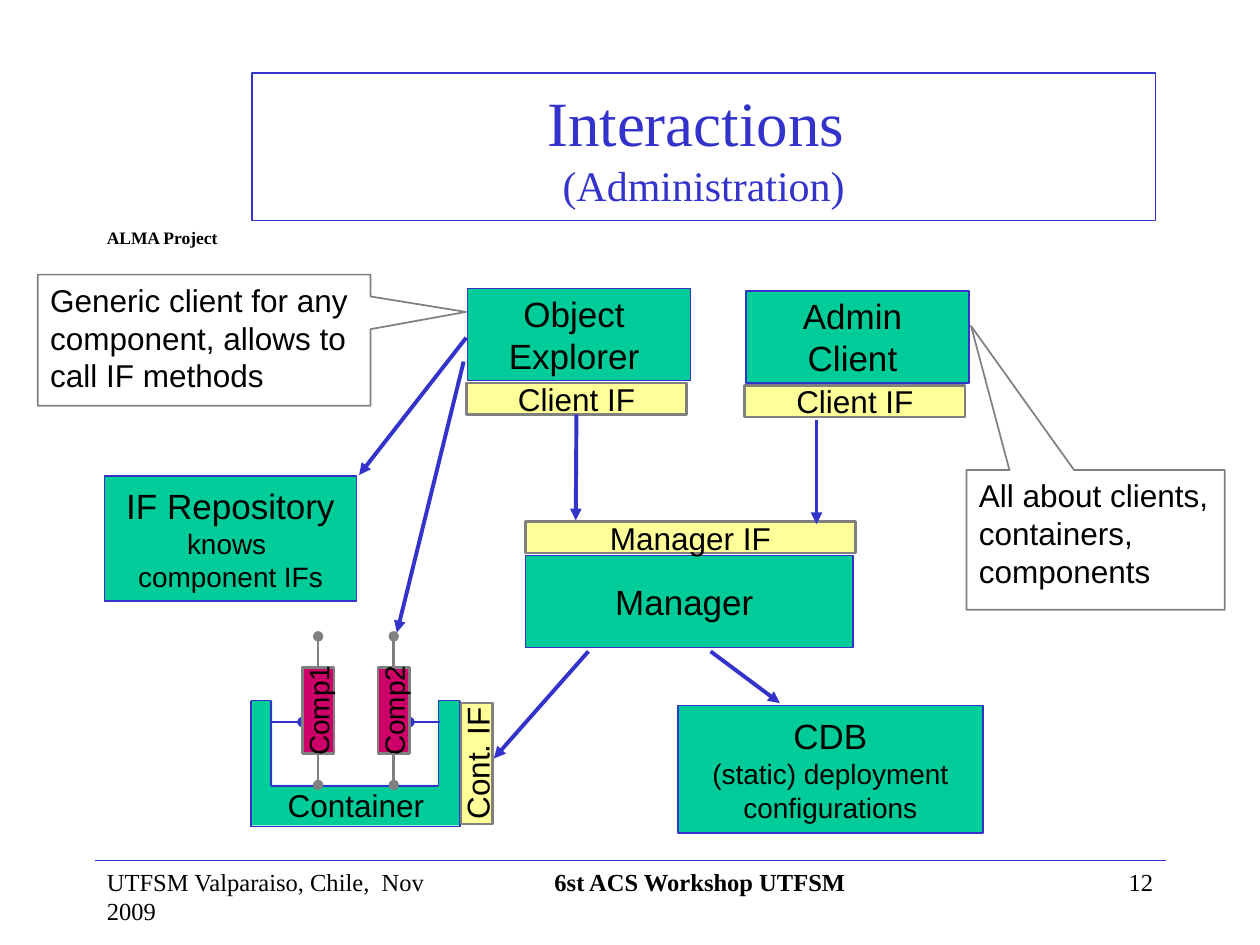
"""Build the Interactions (Administration) slide."""
from itertools import pairwise

from lxml import etree
from pptx import Presentation
from pptx.dml.color import RGBColor
from pptx.enum.shapes import MSO_CONNECTOR, MSO_SHAPE
from pptx.enum.text import MSO_ANCHOR, MSO_AUTO_SIZE, PP_ALIGN
from pptx.oxml.ns import qn
from pptx.util import Inches, Pt

RECT, CALLOUT = MSO_SHAPE.RECTANGLE, MSO_SHAPE.RECTANGULAR_CALLOUT
STRAIGHT = MSO_CONNECTOR.STRAIGHT
LEFT, CENTER, RIGHT = PP_ALIGN.LEFT, PP_ALIGN.CENTER, PP_ALIGN.RIGHT
TOP, MIDDLE = MSO_ANCHOR.TOP, MSO_ANCHOR.MIDDLE
BLUE, GREEN = RGBColor(0x33, 0x33, 0xCC), RGBColor(0x00, 0xCC, 0x99)
YELLOW, MAGENTA = RGBColor(0xFF, 0xFF, 0x99), RGBColor(0xCC, 0x00, 0x66)
GRAY, BLACK = RGBColor(0x80, 0x80, 0x80), RGBColor(0, 0, 0)
SERIF, SANS = "Times New Roman", "Arial"

TITLE_AREA = (2, 0.58, 7.17, 1.17)
TITLE_LINES = [("Interactions ", 36), ("(Administration)", 24)]
MARGIN_TEXTS = [
    ("ALMA Project", (0.75, 1.75, 1.1, 0.27), 10, True, LEFT),
    ("12", (7.17, 6.83, 2.08, 0.5), 14, False, RIGHT),
    ("UTFSM Valparaiso, Chile,  Nov  2009", (0.75, 6.83, 2.99, 0.5), 14, False, LEFT),
    ("6st ACS Workshop UTFSM ", (3.58, 6.83, 4, 0.5), 14, True, CENTER),
]
FOOTER_RULE = ((0.75, 6.83), (9.25, 6.83))
BLOCKS = [
    ((5.38, 5.6, 2.42, 1.01),
     [("CDB", 20), ("(static) deployment", 16), ("configurations", 16)]),
    ((4.17, 4.41, 2.6, 0.73), [("Manager ", 20)]),
    ((3.71, 2.29, 1.77, 0.73), [("Object ", 20), ("Explorer ", 20)]),
    ((5.92, 2.31, 1.77, 0.73), [("Admin ", 20), ("Client ", 20)]),
    ((0.83, 3.78, 2, 0.99),
     [("IF Repository", 20), ("knows ", 16), ("component IFs", 16)]),
]
INTERFACES = [
    ("Manager IF", (4.17, 4.14, 2.62, 0.25)),
    ("Client IF", (3.7, 3.04, 1.75, 0.25)),
    ("Client IF", (5.91, 3.06, 1.75, 0.25)),
    ("Cont. IF", (3.66, 5.58, 0.25, 0.96)),
]
CONTAINER_BASE = (1.99, 6.23, 1.67, 0.32)
CONTAINER_WALLS = [(1.99, 5.56, 0.17, 0.67), (3.48, 5.56, 0.17, 0.67)]
CONTAINER_OUTLINE = [(1.99, 5.56), (2.15, 5.56), (2.15, 6.24), (3.48, 6.24),
                     (3.48, 5.56), (3.65, 5.56), (3.65, 6.56), (1.99, 6.56)]
COMPONENTS = [("Comp1", 2.4, (2.15, 2.4)), ("Comp2", 3, (3.49, 3.25))]
COMPONENT_TOP, COMPONENT_WIDTH, COMPONENT_HEIGHT = 5.3, 0.25, 0.68
HOOK_Y, PIN_TOP, PIN_BOTTOM = 5.73, 5.05, 6.23
CALLOUTS = [
    ("Generic client for any component, allows to call IF methods",
     (0.3, 2.18, 2.64, 1.04), (0.787, -0.215)),
    ("All about clients, containers, components",
     (7.67, 3.73, 2.05, 1.11), (-0.482, -1.53)),
]
ARROWS = [
    ((5.64, 5.17), (6.19, 5.58)),
    ((3.7, 2.68), (2.85, 3.77)),
    ((3.68, 2.87), (3.15, 5.02)),
    ((6.48, 3.33), (6.48, 4.16)),
    ((4.67, 5.17), (3.92, 6.02)),
]
CLIENT_ARROW = ((4.57, 3.29), (4.57, 4.13))


def write(box, lines, font=SANS, color=BLACK, bold=False, align=CENTER,
          anchor=MIDDLE, wrap=False):
    frame = box.text_frame
    frame.auto_size = MSO_AUTO_SIZE.NONE
    frame.word_wrap, frame.vertical_anchor = wrap, anchor
    for index, (text, size) in enumerate(lines):
        para = frame.add_paragraph() if index else frame.paragraphs[0]
        para.text, para.alignment = text, align
        para.font.name, para.font.size, para.font.bold = font, Pt(size), bold
        para.font.color.rgb = color


def add_box(page, area, fill=None, line=None, width=1, kind=RECT):
    box = page.shapes.add_shape(kind, *map(Inches, area))
    box.shadow.inherit = False
    if fill is None:
        box.fill.background()
    else:
        box.fill.solid()
        box.fill.fore_color.rgb = fill
    if line is None:
        box.line.fill.background()
    else:
        box.line.color.rgb, box.line.width = line, Pt(width)
    return box


def add_label(page, text, area, fill, size):
    label = add_box(page, area, fill, GRAY, 1.5)
    write(label, [(text, size)])
    if area[3] > area[2]:
        label.element.txBody.bodyPr.set("vert", "vert270")
    return label


def add_line(page, start, end, color=BLUE, width=1, tip=None):
    line = page.shapes.add_connector(STRAIGHT, *map(Inches, start + end))
    line.line.color.rgb, line.line.width = color, Pt(width)
    if tip:
        etree.SubElement(line.line._get_or_add_ln(), qn("a:tailEnd"), type=tip)
    etree.SubElement(line.element.spPr, qn("a:effectLst"))
    return line


def add_title(page):
    title = page.shapes.title
    title.left, title.top, title.width, title.height = map(Inches, TITLE_AREA)
    title.line.color.rgb, title.line.width = BLUE, Pt(1)
    frame = title.text_frame
    frame.auto_size, frame.vertical_anchor = MSO_AUTO_SIZE.NONE, MIDDLE
    para = frame.paragraphs[0]
    para.alignment = CENTER
    for index, (text, size) in enumerate(TITLE_LINES):
        if index:
            para.add_line_break()
        span = para.add_run()
        span.text = text
        span.font.name, span.font.size = SERIF, Pt(size)
        span.font.color.rgb = BLUE


def add_container(page):
    write(add_box(page, CONTAINER_BASE, GREEN), [("Container", 18)])
    for wall in CONTAINER_WALLS:
        add_box(page, wall, GREEN)
    for start, end in pairwise(CONTAINER_OUTLINE + CONTAINER_OUTLINE[:1]):
        add_line(page, start, end)
    for name, left, (hook_start, hook_end) in COMPONENTS:
        add_line(page, (hook_start, HOOK_Y), (hook_end, HOOK_Y), tip="oval")
        area = (left, COMPONENT_TOP, COMPONENT_WIDTH, COMPONENT_HEIGHT)
        component = add_label(page, name, area, MAGENTA, 16)
        middle = left + COMPONENT_WIDTH / 2
        bottom = COMPONENT_TOP + COMPONENT_HEIGHT
        for side, edge, pin in ((0, COMPONENT_TOP, PIN_TOP), (2, bottom, PIN_BOTTOM)):
            stem = add_line(page, (middle, edge), (middle, pin), GRAY, 1.5, "oval")
            stem.begin_connect(component, side)


def main():
    deck = Presentation()
    deck.slide_width, deck.slide_height = Inches(10), Inches(7.5)
    page = deck.slides.add_slide(deck.slide_layouts[5])
    add_title(page)
    for text, area, size, bold, align in MARGIN_TEXTS:
        box = page.shapes.add_textbox(*map(Inches, area))
        write(box, [(text, size)], SERIF, BLACK, bold, align, TOP, True)
    add_line(page, *FOOTER_RULE)
    add_container(page)
    for area, lines in BLOCKS:
        write(add_box(page, area, GREEN, BLUE), lines)
    labels = [add_label(page, text, area, YELLOW, 18) for text, area in INTERFACES]
    for text, area, pointer in CALLOUTS:
        callout = add_box(page, area, line=GRAY, kind=CALLOUT)
        callout.adjustments[0], callout.adjustments[1] = pointer
        write(callout, [(text, 18)], align=LEFT, anchor=TOP, wrap=True)
    for start, end in ARROWS:
        add_line(page, start, end, BLUE, 2.25, "triangle")
    client_arrow = add_line(page, *CLIENT_ARROW, BLUE, 2.25, "triangle")
    client_arrow.begin_connect(labels[1], 2)
    deck.save("out.pptx")


if __name__ == "__main__":
    main()
